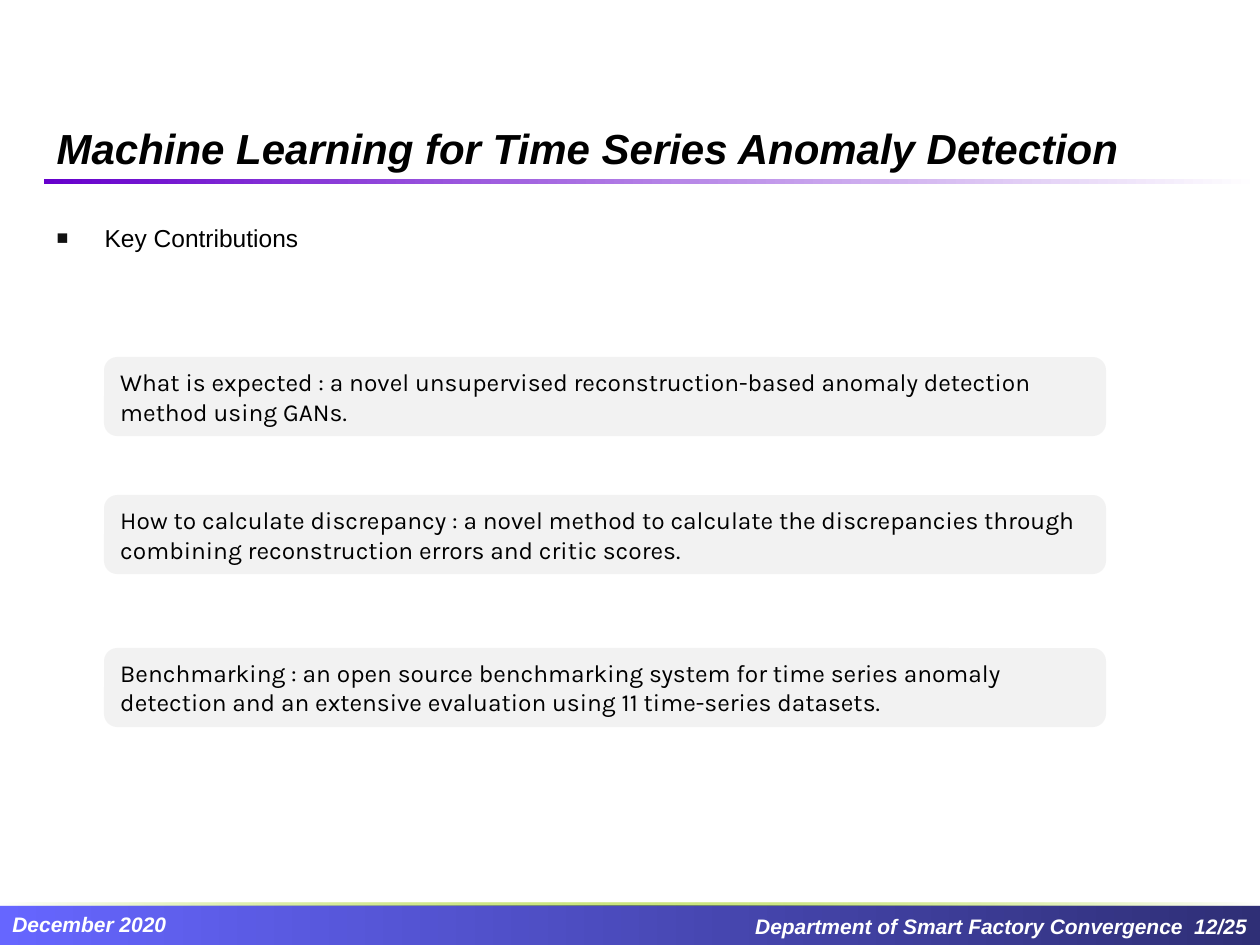
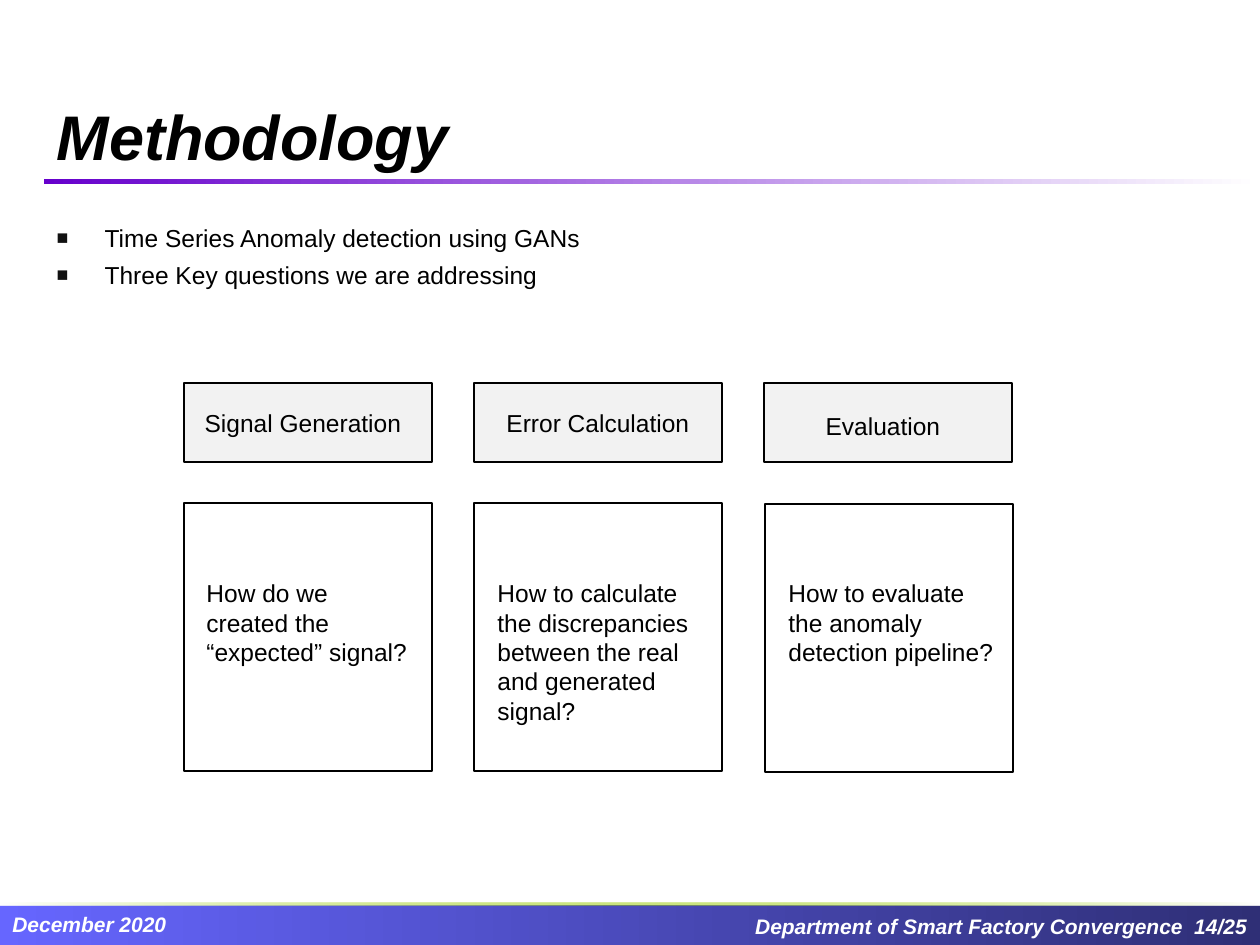
from lxml.etree import SubElement
from pptx import Presentation
from pptx.dml.color import RGBColor
from pptx.enum.shapes import MSO_SHAPE as SHAPE
from pptx.enum.text import MSO_ANCHOR as ANCHOR, MSO_AUTO_SIZE as FIT, PP_ALIGN as ALIGN
from pptx.oxml.ns import qn
from pptx.util import Pt

BLACK = RGBColor(0, 0, 0)
WHITE = RGBColor(0xFF, 0xFF, 0xFF)
PANEL = RGBColor(0xF2, 0xF2, 0xF2)
BULLET = RGBColor(0x11, 0x11, 0x11)
BAND_LEFT = RGBColor(0x66, 0x66, 0xFF)
BAND_RIGHT = RGBColor(0x2F, 0x2F, 0x76)
PURPLE = RGBColor(0x66, 0x00, 0xCC)
LIME = RGBColor(0x99, 0xCC, 0x00)

EMU_PER_PX = 914400 / 126
DATE = "December 2020"
DEPARTMENT = "Department of Smart Factory Convergence"
TOTAL = 25

BARS = [
    ((0, 905, 1260, 40), [(0, BAND_LEFT, 100), (100, BAND_RIGHT, 100)]),
    ((44, 179, 1216, 5), [(0, PURPLE, 100), (100, WHITE, 100)]),
    ((0, 903, 1260, 3), [(0, WHITE, 100), (50, LIME, 50), (100, WHITE, 100)]),
]

CONTRIBUTIONS = [
    (357, "What is expected : a novel unsupervised reconstruction-based anomaly "
          "detection method using GANs."),
    (495, "How to calculate discrepancy : a novel method to calculate the discrepancies "
          "through combining reconstruction errors and critic scores."),
    (648, "Benchmarking : an open source benchmarking system for time series anomaly "
          "detection and an extensive evaluation using 11 time-series datasets."),
]

QUESTIONS = [
    {"label": "Signal Generation", "label_at": (179, 402), "box_at": (184, 503),
     "question": "How do we created the “expected” signal?", "height": 102},
    {"label": "Error Calculation", "label_at": (474, 402), "box_at": (474, 503),
     "question": "How to calculate the discrepancies between the real and generated signal?",
     "height": 161},
    {"label": "Evaluation", "label_at": (759, 405), "box_at": (765, 504),
     "question": "How to evaluate the anomaly detection pipeline?", "height": 102},
]
COLUMN_LEFT, COLUMN_PITCH, COLUMN_WIDTH = 184, 290, 248


def emu(*lengths):
    return [round(n * EMU_PER_PX) for n in lengths]


def write(p, text, size=14, color=BLACK, font="Arial", strong=False, align=ALIGN.LEFT):
    p.alignment = align
    r = p.add_run()
    r.text = text
    r.font.name, r.font.size, r.font.color.rgb = font, Pt(size), color
    r.font.bold = r.font.italic = strong


def add_text(s, box, text, **style):
    tf = s.shapes.add_textbox(*emu(*box)).text_frame
    tf.word_wrap = True
    tf.auto_size = FIT.SHAPE_TO_FIT_TEXT
    write(tf.paragraphs[0], text, **style)


def add_box(s, box, kind=SHAPE.RECTANGLE, fill=None, line=None):
    sp = s.shapes.add_shape(kind, *emu(*box))
    sp.shadow.inherit = False
    if fill is None:
        sp.fill.background()
    else:
        sp.fill.solid()
        sp.fill.fore_color.rgb = fill
    if line is None:
        sp.line.fill.background()
    else:
        sp.line.color.rgb = line
        sp.line.width = Pt(0.75)
    return sp


def add_bar(s, box, stops):
    sp = add_box(s, box)
    sp.fill.gradient()
    sp.fill.gradient_angle = 0
    stop_list = sp._element.spPr.find(qn("a:gradFill")).find(qn("a:gsLst"))
    stop_list.clear()
    for position, color, opacity in stops:
        stop = SubElement(stop_list, qn("a:gs"), pos=str(position * 1000))
        rgb = SubElement(stop, qn("a:srgbClr"), val=str(color))
        if opacity < 100:
            SubElement(rgb, qn("a:alpha"), val=str(opacity * 1000))


def place(sp, box):
    sp.left, sp.top, sp.width, sp.height = emu(*box)
    sp.text_frame.auto_size = FIT.NONE
    return sp.text_frame


def add_bullet(p, text):
    p.line_spacing = 1.1
    write(p, text)
    pPr = p._p.get_or_add_pPr()
    indent = emu(48)[0]
    pPr.set("marL", str(indent))
    pPr.set("indent", str(-indent))
    SubElement(SubElement(pPr, qn("a:buClr")), qn("a:srgbClr"), val=str(BULLET))
    SubElement(pPr, qn("a:buSzPct"), val="80000")
    SubElement(pPr, qn("a:buFont"), typeface="Arial")
    SubElement(pPr, qn("a:buChar"), char="■")


def new_slide(prs, number, title, title_size, bullets):
    s = prs.slides.add_slide(prs.slide_layouts[1])
    for box, stops in BARS:
        add_bar(s, box, stops)
    footer = dict(size=12, color=WHITE, strong=True)
    add_text(s, (0, 905, 392, 38), DATE, **footer)
    add_text(s, (740, 907, 520, 38), f"{DEPARTMENT}  {number}/{TOTAL}",
             align=ALIGN.RIGHT, **footer)

    tf = place(s.shapes.title, (44, 16, 1171, 163))
    tf.vertical_anchor = ANCHOR.BOTTOM
    write(tf.paragraphs[0], title, size=title_size, strong=True)

    tf = place(s.placeholders[1], (44, 214, 1171, 79))
    for i, text in enumerate(bullets):
        add_bullet(tf.add_paragraph() if i else tf.paragraphs[0], text)
    return s


def build_contributions(prs):
    s = new_slide(prs, 12, "Machine Learning for Time Series Anomaly Detection", 24,
                  ["Key Contributions"])
    for top, text in CONTRIBUTIONS:
        card = add_box(s, (104, top, 1002, 79), SHAPE.ROUNDED_RECTANGLE, PANEL)
        tf = card.text_frame
        tf.word_wrap = True
        tf.vertical_anchor = ANCHOR.MIDDLE
        write(tf.paragraphs[0], text, font="Karla")


def build_methodology(prs):
    s = new_slide(prs, 14, "Methodology", 36,
                  ["Time Series Anomaly detection using GANs",
                   "Three Key questions we are addressing"])
    for i, q in enumerate(QUESTIONS):
        left = COLUMN_LEFT + i * COLUMN_PITCH
        add_box(s, (left, 383, COLUMN_WIDTH, 79), fill=PANEL, line=BLACK)
        add_box(s, (*q["box_at"], COLUMN_WIDTH, 268), line=BLACK)
        add_text(s, (*q["label_at"], COLUMN_WIDTH, 43), q["label"], align=ALIGN.CENTER)
        add_text(s, (left + 10 + i, 572, 233, q["height"]), q["question"])


def main():
    prs = Presentation()
    prs.slide_width, prs.slide_height = emu(1260, 945)
    build_contributions(prs)
    build_methodology(prs)
    prs.save("out.pptx")


if __name__ == "__main__":
    main()
